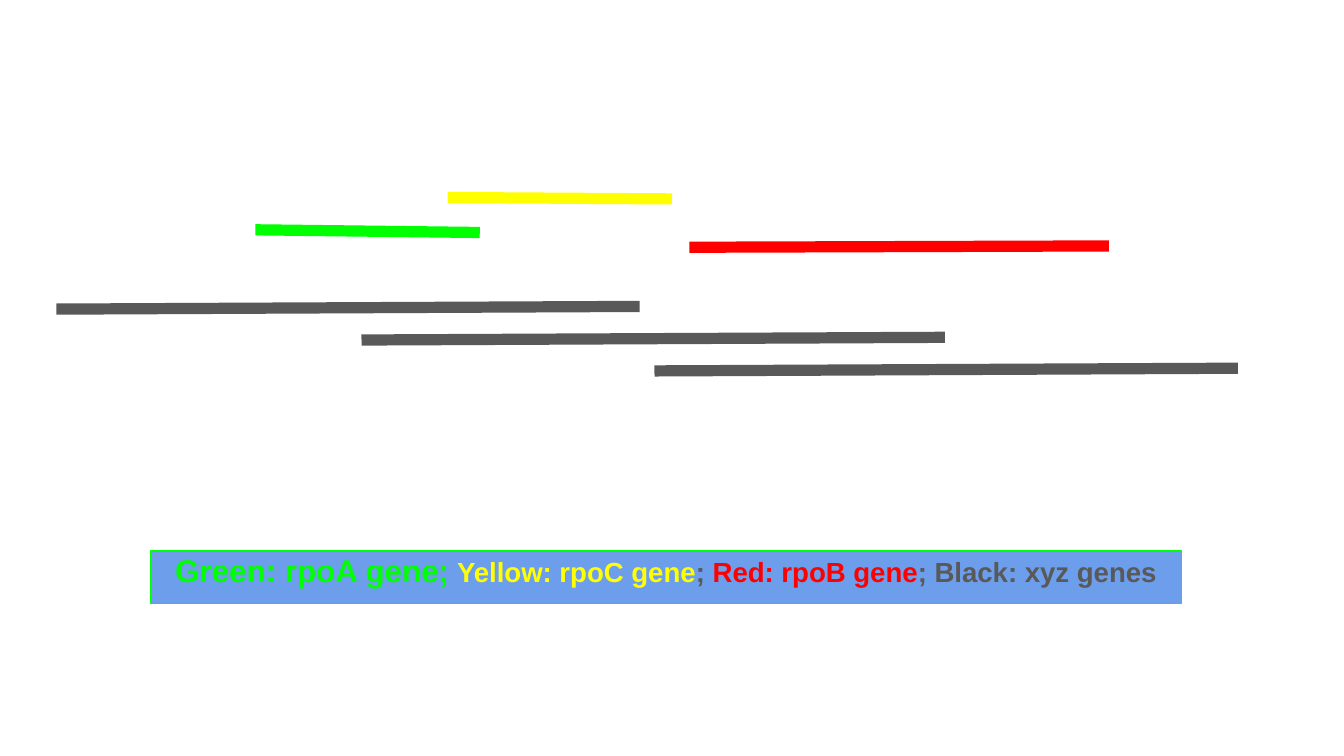
import pptx
import pptx.util
import pptx.dml.color
import pptx.enum.shapes
import pptx.enum.text
import pptx.oxml.ns
import lxml.etree

Inches = pptx.util.Inches
Pt = pptx.util.Pt
RGBColor = pptx.dml.color.RGBColor

GREEN = RGBColor(0x00, 0xFF, 0x00)
YELLOW = RGBColor(0xFF, 0xFF, 0x00)
RED = RGBColor(0xFF, 0x00, 0x00)
GREY = RGBColor(0x59, 0x59, 0x59)
BLUE = RGBColor(0x6D, 0x9E, 0xEB)


def add_text(para, text, size=14.8, color=GREY, bold=True, font="Arial"):
    """Append a formatted run to a paragraph."""
    run = para.add_run()
    run.text = text
    run.font.name = font
    run.font.size = Pt(size)
    run.font.bold = bold
    run.font.color.rgb = color


def add_bar(slide, start, end, color):
    """Draw one gene as a thick line."""
    bar = slide.shapes.add_connector(
        pptx.enum.shapes.MSO_CONNECTOR.STRAIGHT,
        *(Inches(n) for n in start + end))
    bar.line.color.rgb = color
    bar.line.width = Pt(6)
    lxml.etree.SubElement(bar._element.spPr, pptx.oxml.ns.qn("a:effectLst"))


def add_genes(slide, left, top):
    """Place the coloured genes above three stepped grey ones."""
    genes = [
        (4.71, 0.37, 3.12, -0.01, RED),
        (4.58, 0.01, -1.67, -0.01, YELLOW),
        (3.15, 0.26, -1.67, -0.02, GREEN),
    ]
    genes += [(x, 0.83 + 0.23 * row, 4.34, -0.02, GREY)
              for row, x in enumerate((0, 2.27, 4.45))]
    for x, y, run, rise, color in genes:
        start = (left + x, top + y)
        add_bar(slide, start, (start[0] + run, start[1] + rise), color)


def add_legend(slide, left, top, width, height):
    """Place the colour legend in its framed box."""
    box = slide.shapes.add_shape(
        pptx.enum.shapes.MSO_SHAPE.RECTANGLE,
        Inches(left), Inches(top), Inches(width), Inches(height))
    box.shadow.inherit = False
    box.fill.solid()
    box.fill.fore_color.rgb = BLUE
    box.line.color.rgb = GREEN
    box.line.width = Pt(0.75)
    frame = box.text_frame
    frame.word_wrap = True
    frame.vertical_anchor = pptx.enum.text.MSO_ANCHOR.TOP
    frame.margin_left = frame.margin_right = Inches(0.1)
    frame.margin_top = frame.margin_bottom = Inches(0.1)
    para = frame.paragraphs[0]
    para.alignment = pptx.enum.text.PP_ALIGN.CENTER
    para.line_spacing = 0.6
    add_text(para, "Green: rpoA gene;", size=16.8, color=GREEN)
    add_text(para, " ")
    add_text(para, "Yellow: rpoC gene", color=YELLOW)
    add_text(para, "; ")
    add_text(para, "Red: rpoB gene", color=RED)
    add_text(para, "; Black: xyz genes")


def main():
    """Build and save the slide."""
    deck = pptx.Presentation()
    deck.slide_width = Inches(10)
    deck.slide_height = deck.slide_width * 9 // 16
    slide = deck.slides.add_slide(deck.slide_layouts[6])
    add_legend(slide, 1.12, 4.1, 7.67, 0.39)
    add_genes(slide, 0.42, 1.47)
    deck.save("out.pptx")


if __name__ == "__main__":
    main()
